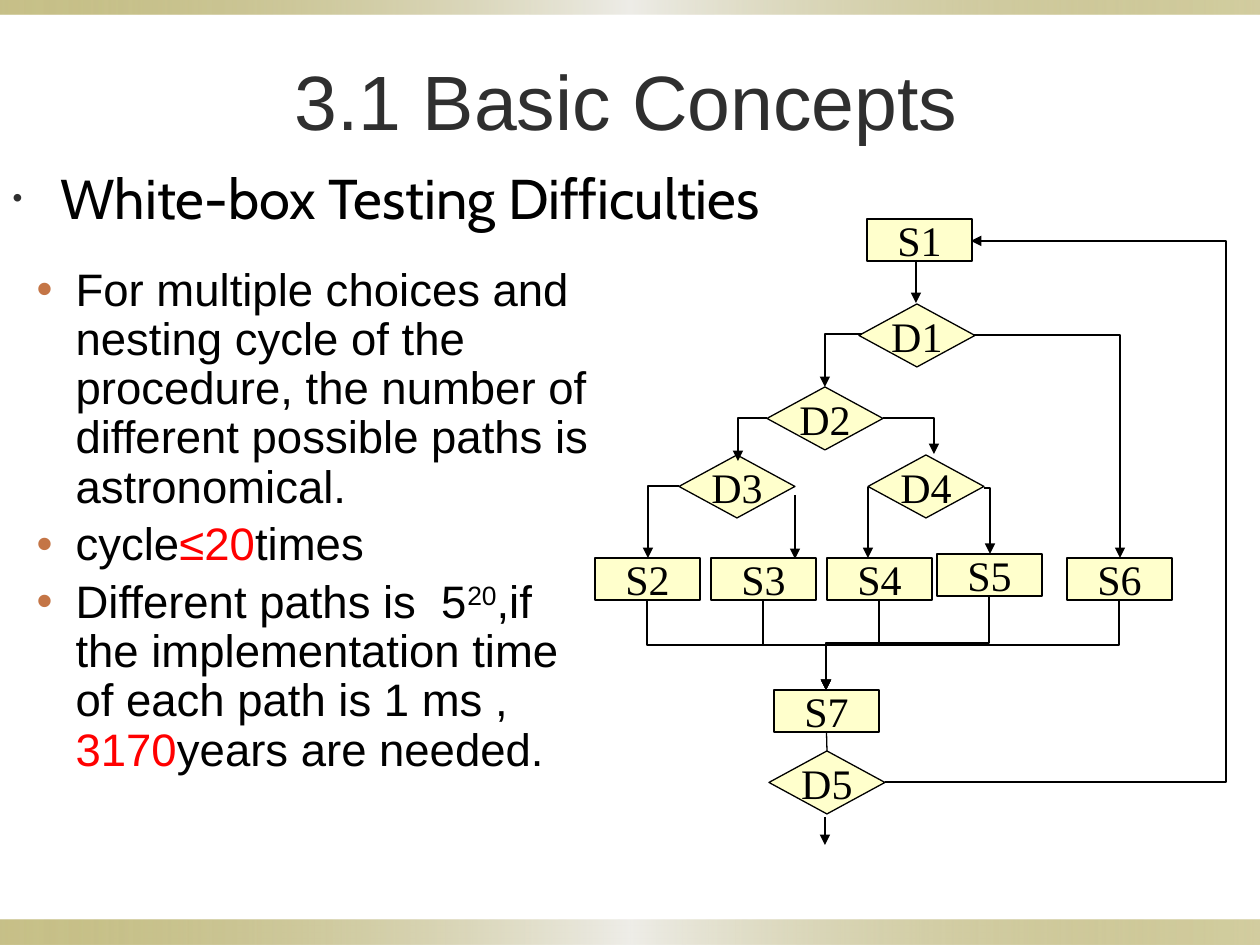
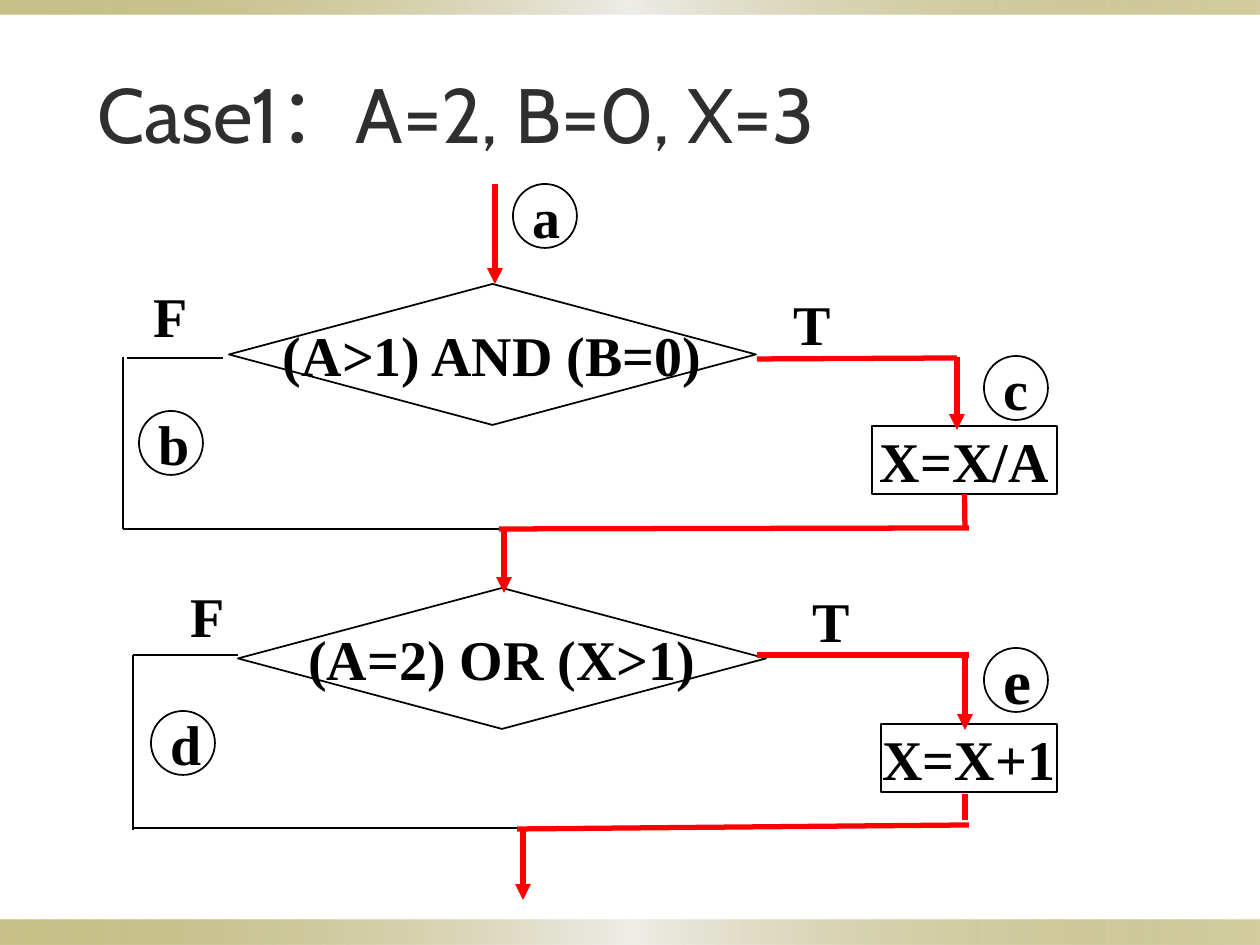
from lxml import etree
from pptx import Presentation
from pptx.dml.color import RGBColor
from pptx.enum.shapes import MSO_CONNECTOR, MSO_SHAPE
from pptx.enum.text import MSO_ANCHOR, MSO_AUTO_SIZE, PP_ALIGN
from pptx.oxml import parse_xml
from pptx.oxml.ns import nsdecls, qn
from pptx.util import Pt

RECT, DIAMOND, OVAL = MSO_SHAPE.RECTANGLE, MSO_SHAPE.DIAMOND, MSO_SHAPE.OVAL
STRAIGHT, ELBOW = MSO_CONNECTOR.STRAIGHT, MSO_CONNECTOR.ELBOW
CENTER, MIDDLE, TOP = PP_ALIGN.CENTER, MSO_ANCHOR.MIDDLE, MSO_ANCHOR.TOP
NO_AUTOFIT = MSO_AUTO_SIZE.NONE
TOP_SIDE, BOTTOM_SIDE = 0, 2

EMU_PER_PX = 914400 / 126
WIDTH, HEIGHT = 1260, 945
SANS, SERIF, HEADING = "Arial", "Times New Roman", "Cabin"
COLORS = {
    "title": "2F2F2F", "text": "000000", "accent": "FF0000",
    "node": "FFFFCC", "circle": "FFFFFF", "bullet": "C47546",
    "band": "918415", "band_middle": "EEEDE8",
}
STEP_SIZE, DECISION_SIZE = (105, 42), (116, 63)
CIRCLE = 64


def px(value):
    return round(value * EMU_PER_PX)


def rgb(name):
    return RGBColor.from_string(COLORS[name])


def style_font(font, family, size, color="text", bold=False):
    font.name, font.size, font.bold = family, Pt(size), bold
    font.color.rgb = rgb(color)


def place(shape, left, top, width, height):
    shape.left, shape.top = px(left), px(top)
    shape.width, shape.height = px(width), px(height)


def add_band(slide, top, height):
    band = slide.shapes.add_shape(RECT, 0, px(top), px(WIDTH), px(height))
    band.shadow.inherit = False
    band.line.fill.background()
    stops = "".join(
        f'<a:gs pos="{pos}"><a:srgbClr val="{COLORS[color]}">'
        f'<a:alpha val="{alpha}"/></a:srgbClr></a:gs>'
        for pos, color, alpha in ((0, "band", 50000),
                                  (50000, "band_middle", 100000),
                                  (100000, "band", 40000)))
    band._element.spPr.find(qn("a:prstGeom")).addnext(parse_xml(
        f'<a:gradFill {nsdecls("a")}><a:gsLst>{stops}</a:gsLst>'
        '<a:lin ang="0" scaled="0"/></a:gradFill>'))


def new_slide(prs, layout, title, family, title_box):
    """Add a slide with the shared bands and title style."""
    slide = prs.slides.add_slide(prs.slide_layouts[layout])
    add_band(slide, 920, 25)
    add_band(slide, 0, 15)
    place(slide.shapes.title, *title_box)
    frame = slide.shapes.title.text_frame
    frame.auto_size, frame.vertical_anchor = NO_AUTOFIT, MIDDLE
    frame.text = title
    frame.paragraphs[0].alignment = CENTER
    style_font(frame.paragraphs[0].font, family, 44, "title")
    return slide


def fill_list(holder, box, items, family, size, indent, hanging,
              bullet_color, bullet_percent=100):
    """Each item is a list of (text, color, superscript) runs."""
    place(holder, *box)
    frame = holder.text_frame
    frame.auto_size, frame.vertical_anchor = NO_AUTOFIT, TOP
    for number, item in enumerate(items):
        paragraph = frame.add_paragraph() if number else frame.paragraphs[0]
        paragraph.line_spacing = 0.9
        paragraph.space_before = Pt(round(size * 0.2) if number else 0)
        props = paragraph._p.get_or_add_pPr()
        props.set("marL", str(px(indent)))
        props.set("indent", str(-px(hanging)))
        color = etree.SubElement(props, qn("a:buClr"))
        etree.SubElement(color, qn("a:srgbClr"), val=COLORS[bullet_color])
        etree.SubElement(props, qn("a:buSzPct"), val=str(bullet_percent * 1000))
        etree.SubElement(props, qn("a:buFont"), typeface=SANS)
        etree.SubElement(props, qn("a:buChar"), char="•")
        style_font(paragraph.font, family, size)
        for text, run_color, superscript in item:
            run = paragraph.add_run()
            run.text = text
            if run_color != "text":
                run.font.color.rgb = rgb(run_color)
            if superscript:
                run._r.get_or_add_rPr().set("baseline", "30000")


def add_node(slide, kind, box, text="", fill=None, size=24, bold=False,
             line_width=0.75):
    node = slide.shapes.add_shape(kind, *map(px, box))
    node.shadow.inherit = False
    if fill:
        node.fill.solid()
        node.fill.fore_color.rgb = rgb(fill)
    else:
        node.fill.background()
    node.line.color.rgb = rgb("text")
    node.line.width = Pt(line_width)
    if text:
        frame = node.text_frame
        frame.word_wrap, frame.vertical_anchor = False, MIDDLE
        frame.text = text
        frame.paragraphs[0].alignment = CENTER
        style_font(frame.paragraphs[0].font, SERIF, size, bold=bold)
    return node


def add_label(slide, left, top, text, size=32):
    label = slide.shapes.add_textbox(px(left), px(top), px(58), px(size * 2.5))
    label.text_frame.word_wrap = True
    label.text_frame.text = text
    style_font(label.text_frame.paragraphs[0].font, SERIF, size, bold=True)


def add_circled_letter(slide, left, top, letter, size=32):
    add_node(slide, OVAL, (left, top, CIRCLE, CIRCLE), fill="circle",
             line_width=1)
    add_label(slide, left + 7, top + CIRCLE / 2 - size * 1.25, letter, size)


def add_flow(slide, start, end, kind=STRAIGHT, color="text", width=0.75,
             arrow=True):
    flow = slide.shapes.add_connector(kind, *map(px, (*start, *end)))
    flow.line.color.rgb = rgb(color)
    flow.line.width = Pt(width)
    if arrow:
        etree.SubElement(flow.line._get_or_add_ln(), qn("a:tailEnd"),
                         type="triangle")
    etree.SubElement(flow._element.spPr, qn("a:effectLst"))
    return flow


def add_corner(slide, start, end):
    """Arrow that runs sideways first, then turns once."""
    flow = add_flow(slide, start, end, ELBOW)
    flow._element.spPr.find(qn("a:prstGeom")).set("prst", "bentConnector2")


def add_merge(slide, start, end):
    """Arrow that runs down, sideways at half height, and down again."""
    (x1, y1), (x2, y2) = start, end
    middle_x, middle_y = (x1 + x2) / 2, (y1 + y2) / 2
    reach = (y2 - y1) / 2 * (1 if x2 < x1 else -1)
    half = abs(x2 - x1) / 2
    flow = add_flow(slide, (middle_x - reach, middle_y - half),
                    (middle_x + reach, middle_y + half), ELBOW)
    turn = 90 if x2 < x1 else 270
    flow._element.spPr.find(qn("a:xfrm")).set("rot", str(turn * 60000))


def add_loop(slide, start, end, outer_x):
    """Arrow that leaves sideways to outer_x and comes back at another height."""
    flow = add_flow(slide, start, end, ELBOW)
    ratio = round((outer_x - start[0]) / (end[0] - start[0]) * 100000)
    geometry = flow._element.spPr.find(qn("a:prstGeom"))
    guides = geometry.find(qn("a:avLst"))
    if guides is None:
        guides = etree.SubElement(geometry, qn("a:avLst"))
    etree.SubElement(guides, qn("a:gd"), name="adj1", fmla=f"val {ratio}")


def build_concepts(prs):
    slide = new_slide(prs, 3, "3.1 Basic Concepts", SANS, (91, 21, 1071, 158))
    heading, points = list(slide.placeholders)[1:3]
    fill_list(heading, (0, 165, 843, 90),
              [[("White-box Testing Difficulties", "text", False)]],
              HEADING, 32, 48, 48, "title", 50)
    fill_list(points, (-39, 261, 645, 556), [
        [("For multiple choices and nesting cycle of the procedure, the number "
          "of different possible paths is astronomical.", "text", False)],
        [("cycle", "text", False), ("≤20", "accent", False),
         ("times", "text", False)],
        [("Different paths is  5", "text", False), ("20", "text", True),
         (",if the implementation time of each path is 1 ms , ", "text", False),
         ("3170", "accent", False), ("years are needed.", "text", False)],
    ], SANS, 26, 102, 39, "bullet")

    steps = {"S1": (867, 219), "S2": (595, 558), "S3": (711, 558),
             "S4": (827, 558), "S5": (937, 554), "S6": (1067, 558),
             "S7": (774, 690)}
    decisions = {"D1": (859, 304), "D2": (767, 387), "D3": (679, 455),
                 "D4": (868, 455), "D5": (769, 751)}
    nodes = {}
    for kind, size, group in ((RECT, STEP_SIZE, steps),
                              (DIAMOND, DECISION_SIZE, decisions)):
        for name, corner in group.items():
            nodes[name] = add_node(slide, kind, (*corner, *size), name, "node")

    for start, end in (((974, 335), (1120, 558)), ((862, 334), (825, 387)),
                       ((767, 418), (738, 461)), ((883, 418), (934, 454)),
                       ((679, 486), (648, 558)), ((984, 488), (990, 554))):
        add_corner(slide, start, end)
    for name in ("S2", "S3", "S4", "S5", "S6"):
        left, top = steps[name]
        add_merge(slide, (left + STEP_SIZE[0] // 2, top + STEP_SIZE[1]),
                  (826, 690))
    add_loop(slide, (885, 782), (971, 241), 1226)
    for x, top, bottom in ((916, 260, 303), (868, 487, 558),
                           (795, 495, 559), (825, 817, 845)):
        add_flow(slide, (x, top), (x, bottom))
    link = add_flow(slide, (827, 751), (827, 732), arrow=False)
    link.begin_connect(nodes["D5"], TOP_SIDE)
    link.end_connect(nodes["S7"], BOTTOM_SIDE)


def build_case(prs):
    slide = new_slide(prs, 5, "Case1：A=2, B=0, X=3", HEADING,
                      (0, 76, 912, 74))
    boxes = {}
    for kind, text, box in (
            (DIAMOND, "(A>1) AND (B=0)", (229, 284, 527, 141)),
            (DIAMOND, "(A=2) OR (X>1)", (238, 588, 528, 141)),
            (RECT, "X=X/A", (872, 426, 185, 68)),
            (RECT, "X=X+1", (881, 724, 176, 68))):
        boxes[text] = add_node(slide, kind, box, text, size=32, bold=True,
                               line_width=1)

    for start, end in (((223, 358), (127, 358)), ((123, 357), (123, 529)),
                       ((123, 529), (508, 529)), ((238, 655), (133, 655)),
                       ((133, 655), (133, 830)), ((133, 828), (527, 828))):
        add_flow(slide, start, end, width=1, arrow=False)
    for start, end in (((757, 359), (957, 358)), ((499, 529), (969, 528)),
                       ((757, 655), (969, 655)), ((517, 829), (969, 825)),
                       ((965, 794), (965, 820))):
        add_flow(slide, start, end, color="accent", width=3, arrow=False)
    exit_line = add_flow(slide, (965, 494), (965, 529), color="accent",
                         width=3, arrow=False)
    exit_line.begin_connect(boxes["X=X/A"], BOTTOM_SIDE)
    for x, top, bottom in ((495, 184, 284), (957, 357, 430), (504, 529, 593),
                           (965, 656, 730), (523, 830, 900)):
        add_flow(slide, (x, top), (x, bottom), color="accent", width=3)

    for left, top, letter in ((513, 184, "a"), (139, 411, "b"),
                              (984, 356, "c"), (151, 711, "d")):
        add_circled_letter(slide, left, top, letter)
    add_circled_letter(slide, 984, 648, "e", 36)
    for left, top, branch in ((141, 275, "F"), (178, 575, "F"),
                              (781, 283, "T"), (800, 580, "T")):
        add_label(slide, left, top, branch)


def main():
    prs = Presentation()
    prs.slide_width, prs.slide_height = px(WIDTH), px(HEIGHT)
    build_concepts(prs)
    build_case(prs)
    prs.save("out.pptx")


if __name__ == "__main__":
    main()
